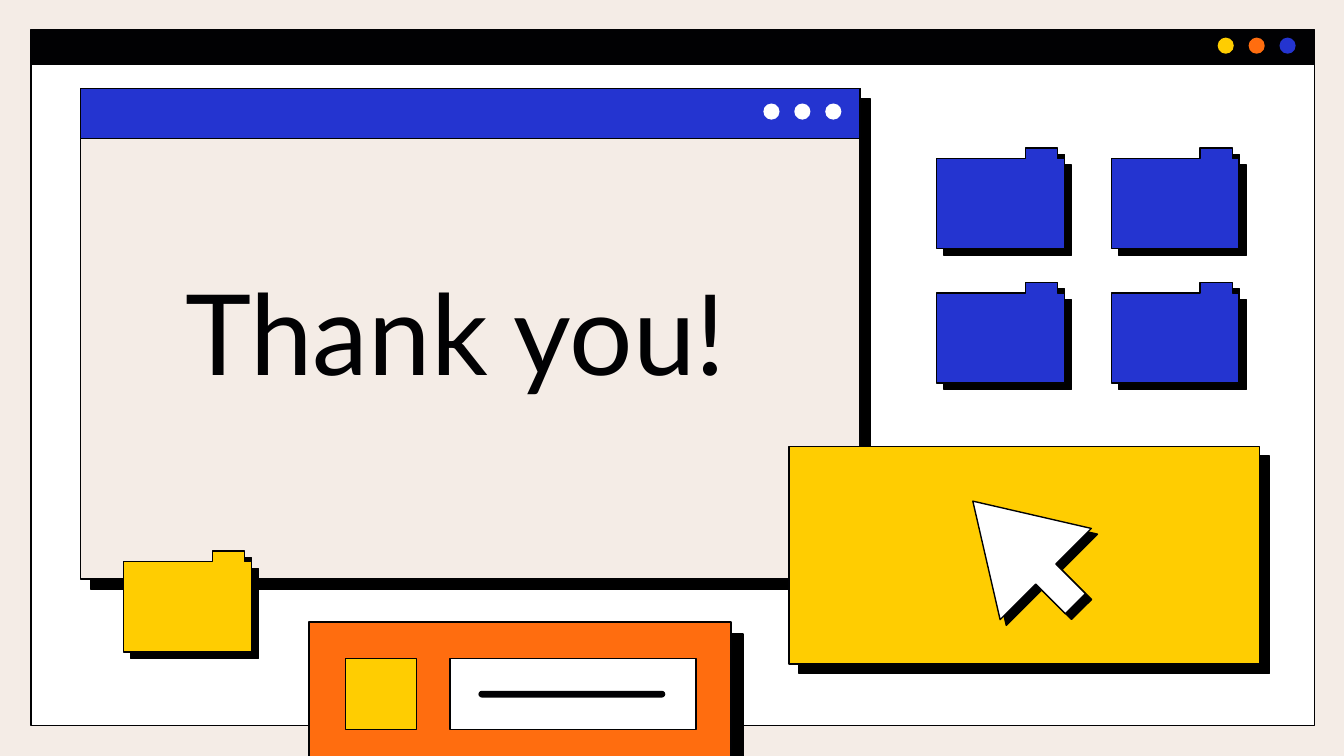
from dataclasses import dataclass
from typing import Optional

from lxml.etree import SubElement
from pptx import Presentation
from pptx.dml.color import RGBColor
from pptx.enum.shapes import MSO_SHAPE
from pptx.enum.text import MSO_ANCHOR, PP_ALIGN
from pptx.oxml.ns import qn
from pptx.util import Inches, Pt


@dataclass(frozen=True)
class Theme:
    cream: str = "F4ECE6"
    ink: str = "010103"
    shadow: str = "000000"
    white: str = "FFFFFF"
    blue: str = "2434D0"
    orange: str = "FF6D0F"
    yellow: str = "FFCD01"
    font: str = "Lato"
    title_size: float = 60
    outline: float = 0.75


@dataclass(frozen=True)
class Box:
    left: float
    top: float
    width: float
    height: float

    def emu(self) -> tuple:
        return tuple(Inches(v) for v in (self.left, self.top, self.width, self.height))


@dataclass(frozen=True)
class Folder:
    left: float
    top: float
    color: str


@dataclass(frozen=True)
class Shadow:
    distance: float
    angle: int


THEME = Theme()
WINDOW_SHADOW = Shadow(7.5, 44)
PANEL_SHADOW = Shadow(9, 44)
FOLDER_SHADOW = Shadow(5.2, 43)
CURSOR_SHADOW = Shadow(4.5, 43)

DOT_SIZE = 0.12
DOT_STEP = 0.23


def style(shape, fill: str, outlined: bool = True, shadow: Optional[Shadow] = None) -> None:
    shape.fill.solid()
    shape.fill.fore_color.rgb = RGBColor.from_string(fill)
    if outlined:
        shape.line.color.rgb = RGBColor.from_string(THEME.ink)
        shape.line.width = Pt(THEME.outline)
    else:
        shape.line.fill.background()
    shape.shadow.inherit = False
    if shadow:
        effects = shape._element.spPr.find(qn("a:effectLst"))
        outer = SubElement(effects, qn("a:outerShdw"), blurRad="0",
                           dist=str(Pt(shadow.distance)), dir=str(shadow.angle * 60000),
                           algn="bl", rotWithShape="0")
        SubElement(outer, qn("a:srgbClr"), val=THEME.shadow)


def draw_shape(shapes, box: Box, fill: str, preset=MSO_SHAPE.RECTANGLE,
               outlined: bool = True, shadow: Optional[Shadow] = None):
    shape = shapes.add_shape(preset, *box.emu())
    style(shape, fill, outlined, shadow)
    return shape


def draw_dots(shapes, left: float, top: float, colors: list[str]) -> None:
    """Draw a row of window buttons from left to right."""
    for i, color in enumerate(colors):
        draw_shape(shapes, Box(left + i * DOT_STEP, top, DOT_SIZE, DOT_SIZE),
                   color, MSO_SHAPE.OVAL, outlined=False)


def draw_folder(shapes, folder: Folder) -> None:
    width, height = 0.95, 0.75
    tab_left, tab_right, tab_height = 0.66, 0.9, 0.08
    outline = [(tab_left, 0), (tab_left, tab_height), (0, tab_height), (0, height),
               (width, height), (width, tab_height), (tab_right, tab_height), (tab_right, 0)]
    points = [(Inches(folder.left + x), Inches(folder.top + y)) for x, y in outline]
    builder = shapes.build_freeform(*points[0])
    builder.add_line_segments(points[1:], close=True)
    style(builder.convert_to_shape(), folder.color, shadow=FOLDER_SHADOW)


def add_text(shapes, text: str, box: Box, *, size: float, color: str,
             align=PP_ALIGN.CENTER, anchor=MSO_ANCHOR.TOP) -> None:
    frame = shapes.add_textbox(*box.emu()).text_frame
    frame.word_wrap = True
    frame.vertical_anchor = anchor
    frame.margin_left = frame.margin_right = Inches(0.1)
    frame.margin_top = frame.margin_bottom = Inches(0.1)
    paragraph = frame.paragraphs[0]
    paragraph.alignment = align
    run = paragraph.add_run()
    run.text = text
    run.font.name = THEME.font
    run.font.size = Pt(size)
    run.font.color.rgb = RGBColor.from_string(color)


def draw_desktop(shapes) -> None:
    draw_shape(shapes, Box(0.23, 0.48, 9.55, 4.92), THEME.white)
    draw_shape(shapes, Box(0.23, 0.22, 9.55, 0.26), THEME.ink)
    draw_dots(shapes, 9.06, 0.28, [THEME.yellow, THEME.orange, THEME.blue])


def draw_title_window(shapes) -> None:
    draw_shape(shapes, Box(0.6, 0.66, 5.8, 3.65), THEME.cream, shadow=WINDOW_SHADOW)
    draw_shape(shapes, Box(0.6, 0.66, 5.8, 0.37), THEME.blue)
    draw_dots(shapes, 5.68, 0.77, [THEME.white] * 3)
    add_text(shapes, "Thank you!", Box(0.83, 1.86, 5.12, 1.1),
             size=THEME.title_size, color=THEME.ink)


def draw_message_panel(shapes) -> None:
    draw_shape(shapes, Box(2.3, 4.63, 3.14, 1.06), THEME.orange, shadow=PANEL_SHADOW)
    draw_shape(shapes, Box(2.57, 4.9, 0.53, 0.53), THEME.yellow)
    draw_shape(shapes, Box(3.35, 4.9, 1.83, 0.53), THEME.white)
    bar = draw_shape(shapes, Box(3.56, 5.14, 1.39, 0.05), THEME.ink,
                     MSO_SHAPE.ROUNDED_RECTANGLE, outlined=False)
    bar.adjustments[0] = 0.5


def draw_cursor(shapes) -> None:
    cursor = draw_shape(shapes, Box(7.14, 3.57, 0.96, 1.08), THEME.white,
                        MSO_SHAPE.UP_ARROW, shadow=CURSOR_SHADOW)
    cursor.adjustments[0] = 0.22
    cursor.adjustments[1] = 0.8
    cursor.rotation = 315


def main() -> None:
    presentation = Presentation()
    presentation.slide_width = Inches(10)
    presentation.slide_height = Inches(10 * 9 / 16)
    slide = presentation.slides.add_slide(presentation.slide_layouts[6])
    slide.background.fill.solid()
    slide.background.fill.fore_color.rgb = RGBColor.from_string(THEME.cream)
    shapes = slide.shapes

    draw_desktop(shapes)
    draw_title_window(shapes)
    draw_shape(shapes, Box(5.87, 3.32, 3.5, 1.62), THEME.yellow, shadow=WINDOW_SHADOW)
    draw_message_panel(shapes)
    draw_cursor(shapes)

    desktop_folders = [Folder(left, top, THEME.blue)
                       for left in (8.27, 6.97) for top in (1.1, 2.1)]
    for folder in [*desktop_folders, Folder(0.92, 4.1, THEME.yellow)]:
        draw_folder(shapes, folder)

    presentation.save("out.pptx")


if __name__ == "__main__":
    main()
